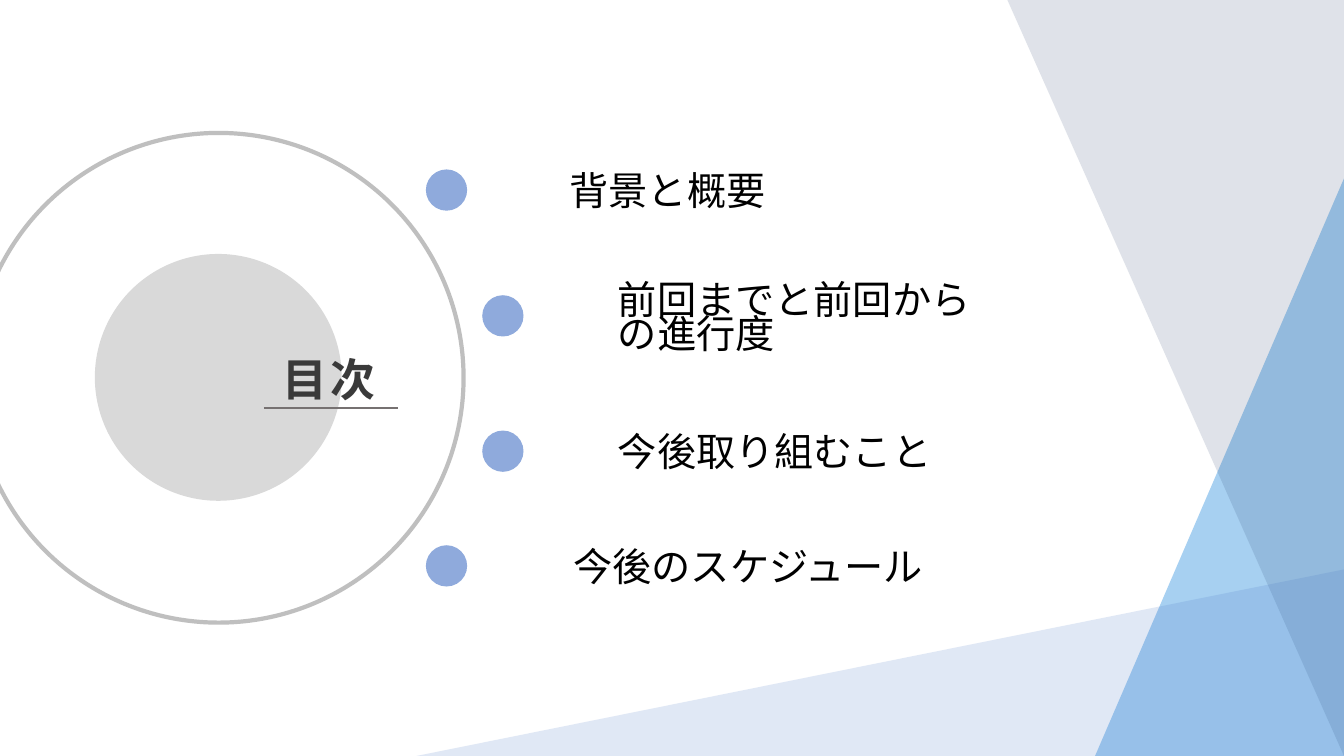
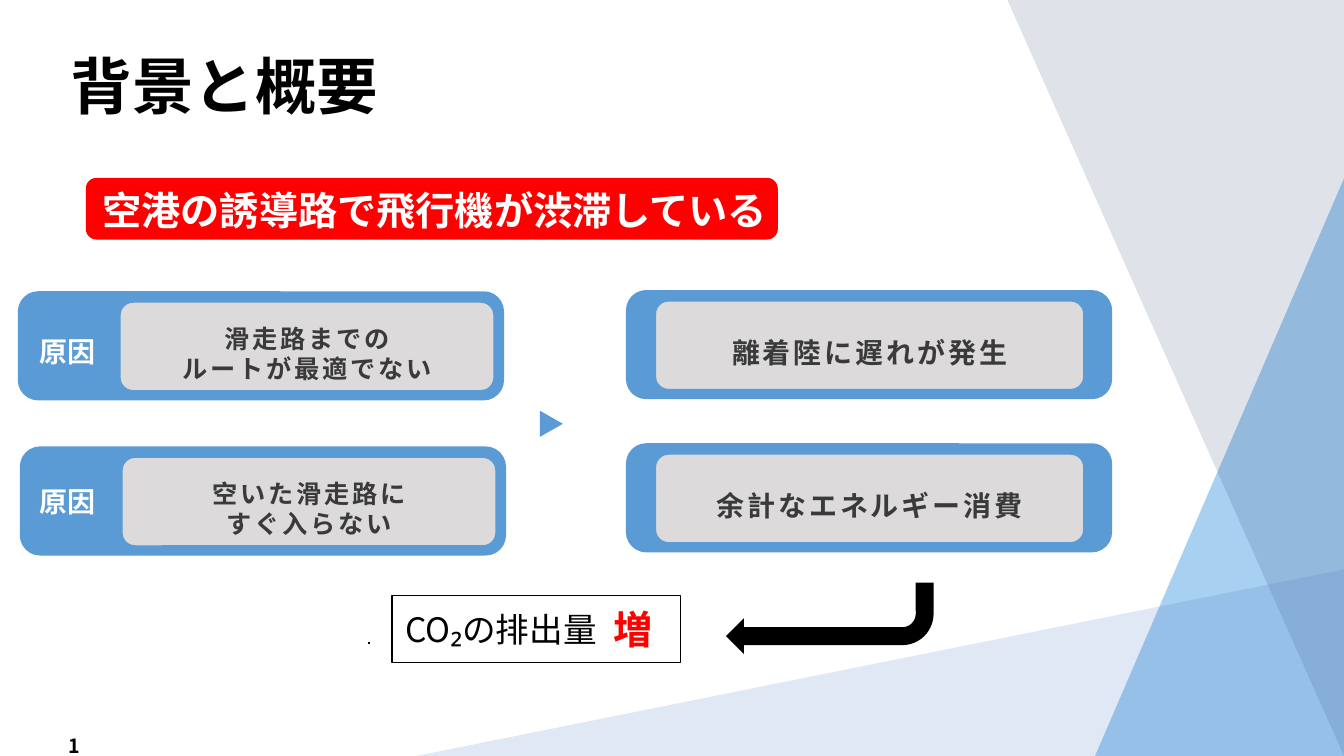
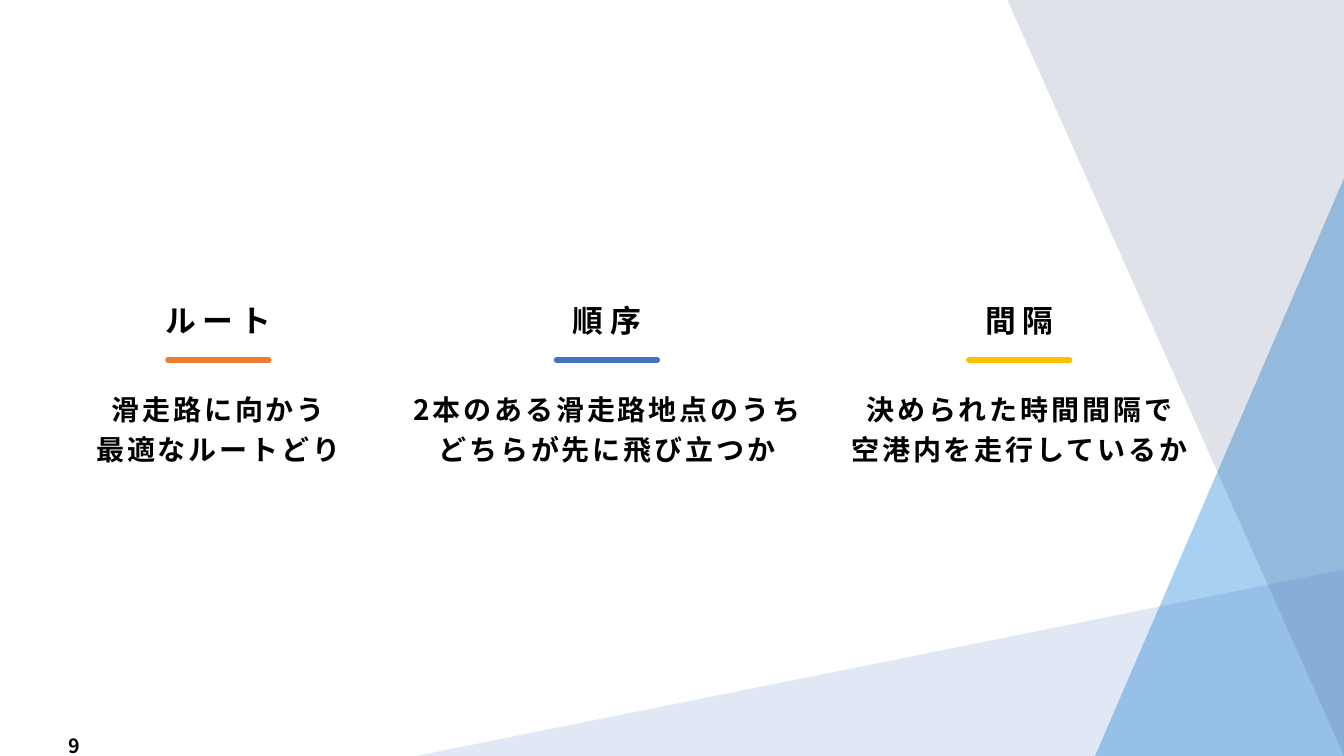
from dataclasses import dataclass
from typing import NamedTuple

import pptx
import pptx.dml.color
import pptx.enum.shapes
import pptx.enum.text
import pptx.oxml
import pptx.oxml.ns
import pptx.util

Cm = pptx.util.Cm
Pt = pptx.util.Pt
Kind = pptx.enum.shapes.MSO_SHAPE
Align = pptx.enum.text.PP_ALIGN
Anchor = pptx.enum.text.MSO_ANCHOR

SLIDE_WIDTH, SLIDE_HEIGHT = 33.86, 19.05
JAPANESE = "Noto Sans CJK JP"
BLACK, WHITE, RED = "000000", "FFFFFF", "FF0000"
PANEL_BLUE, PANEL_GREY, DARK_GREY = "5B9BD5", "DCDADA", "3A3A3A"


class Box(NamedTuple):
    """Place and size in centimetres."""
    left: float
    top: float
    width: float
    height: float

    def lengths(self) -> list:
        return [Cm(value) for value in self]


@dataclass(frozen=True)
class Style:
    size: float
    color: str = BLACK
    bold: bool = False
    tracking: float = 0
    font: str = JAPANESE


@dataclass(frozen=True)
class Facet:
    """One triangle of the corner decoration."""
    box: Box
    color: str
    opacity: int
    rotation: int = 0
    mirrored: bool = False


@dataclass(frozen=True)
class Topic:
    text: str
    dot_left: float
    text_left: float
    top: float
    text_width: float


@dataclass(frozen=True)
class Panel:
    left: float
    top: float
    lines: tuple
    size: float
    inner_offset: float
    inner_width: float
    label_top: float = 0


@dataclass(frozen=True)
class Factor:
    heading: str
    lines: tuple
    center: float
    body_width: float
    color: str


FACETS = [
    Facet(Box(SLIDE_WIDTH - 6.27, SLIDE_HEIGHT - 14.55, 6.27, 14.55), "2A8DDE", 41, mirrored=True),
    Facet(Box(SLIDE_WIDTH - 8.48, 0, 8.48, SLIDE_HEIGHT), "203864", 14, rotation=180),
    Facet(Box(SLIDE_WIDTH - 23.37, SLIDE_HEIGHT - 4.7, 23.37, 4.7), "4472C4", 16, mirrored=True),
]
TOPICS = [
    Topic("背景と概要", 10.73, 14.1, 4.27, 9.37),
    Topic("前回までと前回からの進行度", 12.15, 15.32, 7.44, 10.26),
    Topic("今後取り組むこと", 12.15, 15.32, 10.85, 8.81),
    Topic("今後のスケジュール", 10.73, 14.2, 13.74, 11.07),
]
PANELS = [
    Panel(0.53, 7.42, ("滑走路までの", "ルートが最適でない"), 18, 2.43, 9.55, label_top=8.31),
    Panel(0.58, 11.33, ("空いた滑走路に", "すぐ入らない"), 18, 2.43, 9.55, label_top=12.09),
    Panel(15.85, 7.39, ("離着陸に遅れが発生",), 20, 0.6, 10.92),
    Panel(15.85, 11.25, ("余計なエネルギー消費",), 20, 0.6, 10.92),
]
FACTORS = [
    Factor("ルート", ("滑走路に向かう", "最適なルートどり"), 5.5, 8.31, "ED7D31"),
    Factor("順序", ("2本のある滑走路地点のうち", "どちらが先に飛び立つか"), 15.29, 11.51, "4472C4"),
    Factor("間隔", ("決められた時間間隔で", "空港内を走行しているか"), 25.68, 9.07, "FFC000"),
]


def rgb(value: str) -> pptx.dml.color.RGBColor:
    return pptx.dml.color.RGBColor.from_string(value)


def write(frame, lines: tuple, style: Style, align=Align.LEFT, spacing=None) -> None:
    """Fill a text frame with one paragraph for each line."""
    for index, line in enumerate(lines):
        paragraph = frame.add_paragraph() if index else frame.paragraphs[0]
        paragraph.alignment = align
        if spacing is not None:
            paragraph.line_spacing = spacing
        run = paragraph.add_run()
        run.text = line
        run.font.size = Pt(style.size)
        run.font.bold = style.bold
        run.font.name = style.font
        run.font.color.rgb = rgb(style.color)
        properties = run._r.get_or_add_rPr()
        if style.tracking:
            properties.set("spc", str(int(style.tracking * 100)))
        east_asian = pptx.oxml.parse_xml(
            f'<a:ea {pptx.oxml.ns.nsdecls("a")} typeface="{JAPANESE}"/>')
        properties.find(pptx.oxml.ns.qn("a:latin")).addnext(east_asian)


def add_text(slide, box: Box, lines: tuple, style: Style, align=Align.LEFT,
             spacing=None, wrap: bool = False, anchor=Anchor.TOP) -> None:
    frame = slide.shapes.add_textbox(*box.lengths()).text_frame
    frame.word_wrap = wrap
    frame.vertical_anchor = anchor
    write(frame, lines, style, align, spacing)


def add_figure(slide, kind, box: Box, fill: str = "", line: str = "",
               line_width: float = 1, rotation: int = 0):
    figure = slide.shapes.add_shape(kind, *box.lengths())
    figure.shadow.inherit = False
    figure.rotation = rotation
    if fill:
        figure.fill.solid()
        figure.fill.fore_color.rgb = rgb(fill)
    else:
        figure.fill.background()
    if line:
        figure.line.color.rgb = rgb(line)
        figure.line.width = Pt(line_width)
    else:
        figure.line.fill.background()
    return figure


def write_inside(figure, lines: tuple, style: Style, align=Align.CENTER,
                 left: float = 0, top: float = 0) -> None:
    """Write in a shape, with its left and top insets in centimetres."""
    frame = figure.text_frame
    frame.word_wrap = False
    frame.vertical_anchor = Anchor.MIDDLE
    frame.margin_left, frame.margin_top = Cm(left), Cm(top)
    frame.margin_right = frame.margin_bottom = 0
    write(frame, lines, style, align)


def add_rule(slide, left: float, top: float, width: float, color: str,
             thickness: float, rounded: bool = False) -> None:
    rule = slide.shapes.add_connector(
        pptx.enum.shapes.MSO_CONNECTOR.STRAIGHT, Cm(left), Cm(top), Cm(left + width), Cm(top))
    rule.line.color.rgb = rgb(color)
    rule.line.width = Pt(thickness)
    properties = rule._element.spPr
    if rounded:
        properties.find(pptx.oxml.ns.qn("a:ln")).set("cap", "rnd")
    properties.append(pptx.oxml.parse_xml(f'<a:effectLst {pptx.oxml.ns.nsdecls("a")}/>'))


def add_base_slide(deck, titled: bool = False, number: str = ""):
    """Add a slide with the corner decoration and, if given, a page number."""
    slide = deck.slides.add_slide(deck.slide_layouts[5 if titled else 6])
    for facet in FACETS:
        triangle = add_figure(slide, Kind.RIGHT_TRIANGLE, facet.box, facet.color,
                              rotation=facet.rotation)
        properties = triangle._element.spPr
        if facet.mirrored:
            properties.find(pptx.oxml.ns.qn("a:xfrm")).set("flipH", "1")
        properties.find(".//" + pptx.oxml.ns.qn("a:srgbClr")).append(pptx.oxml.parse_xml(
            f'<a:alpha {pptx.oxml.ns.nsdecls("a")} val="{facet.opacity * 1000}"/>'))
    if number:
        add_text(slide, Box(1.47, 18.36, 0.79, 0.86), (number,), Style(14, bold=True))
    return slide


def add_panel(slide, panel: Panel) -> None:
    add_figure(slide, Kind.ROUNDED_RECTANGLE, Box(panel.left, panel.top, 12.09, 2.59),
               PANEL_BLUE, PANEL_BLUE, 4.5)
    inner = add_figure(
        slide, Kind.ROUNDED_RECTANGLE,
        Box(panel.left + panel.inner_offset, panel.top + 0.13, panel.inner_width, 2.36),
        PANEL_GREY, PANEL_BLUE, 4.5)
    write_inside(inner, panel.lines, Style(panel.size, DARK_GREY, True, 2), top=0.36)
    if panel.label_top:
        add_text(slide, Box(0.74, panel.label_top, 1.93, 1.12), ("原因",),
                 Style(20, WHITE, True, font="Lato"), Align.CENTER)


def build_contents(deck) -> None:
    slide = add_base_slide(deck)
    add_figure(slide, Kind.OVAL, Box(2.39, 6.4, 6.22, 6.22), "D9D9D9")
    add_figure(slide, Kind.OVAL, Box(-0.66, 3.35, 12.34, 12.34), line="BFBFBF", line_width=3)
    for topic in TOPICS:
        add_figure(slide, Kind.OVAL, Box(topic.dot_left, topic.top, 1.04, 1.04), "8FAADC")
        add_text(slide, Box(topic.text_left, topic.top, topic.text_width, 1.37),
                 (topic.text,), Style(28), spacing=Pt(24), anchor=Anchor.MIDDLE)
    add_text(slide, Box(6.88, 9.25, 2.95, 1.24), ("目次",),
             Style(32, DARK_GREY, True, 2, "Quicksand"), spacing=Pt(24))
    add_rule(slide, 6.65, 10.29, 3.38, "767171", 1.5)


def build_background(deck) -> None:
    slide = add_base_slide(deck, titled=True, number="1")
    title = slide.shapes.title
    title.left, title.top, title.width, title.height = Box(1.52, 0.41, 29.21, 3.68).lengths()
    title.text_frame.auto_size = pptx.enum.text.MSO_AUTO_SIZE.NONE
    title.text_frame.vertical_anchor = Anchor.MIDDLE
    write(title.text_frame, ("背景と概要",), Style(44, bold=True), spacing=0.9)

    banner = add_figure(slide, Kind.ROUNDED_RECTANGLE, Box(2.18, 4.5, 17.4, 1.52), RED, RED)
    write_inside(banner, ("空港の誘導路で飛行機が渋滞している",), Style(28, WHITE, True),
                 Align.LEFT, left=0.33, top=0.08)
    for panel in PANELS:
        add_panel(slide, panel)
    add_figure(slide, Kind.ISOSCELES_TRIANGLE, Box(13.56, 10.39, 0.66, 0.58),
               PANEL_BLUE, rotation=90)
    add_figure(slide, Kind.BENT_ARROW, Box(18.29, 14.68, 5.23, 1.8), BLACK, rotation=180)

    emissions = add_figure(slide, Kind.LINE_CALLOUT_1, Box(9.88, 15.01, 7.26, 1.68), line=BLACK)
    for index, value in enumerate((0.72, -0.08, 0.7, -0.08)):
        emissions.adjustments[index] = value
    write_inside(emissions, ("CO₂の排出量",), Style(24), Align.LEFT, left=0.33)
    add_text(slide, Box(15.21, 15.14, 1.5, 1.45), ("増",), Style(28, RED, True))


def build_factors(deck) -> None:
    slide = add_base_slide(deck, number="9")
    for factor in FACTORS:
        add_text(slide, Box(factor.center - 1.7, 7.47, 3.4, 1.19), (factor.heading,),
                 Style(22, BLACK, True, 5, "Quicksand"), Align.CENTER, wrap=True)
        add_rule(slide, factor.center - 1.27, 9.07, 2.54, factor.color, 4, rounded=True)
        add_text(slide, Box(factor.center - factor.body_width / 2, 9.6, factor.body_width, 2.26),
                 factor.lines, Style(20, BLACK, True, 2), Align.CENTER, 1.2, wrap=True)


def main() -> None:
    deck = pptx.Presentation()
    deck.slide_width, deck.slide_height = Cm(SLIDE_WIDTH), Cm(SLIDE_HEIGHT)
    build_contents(deck)
    build_background(deck)
    build_factors(deck)
    deck.save("out.pptx")


if __name__ == "__main__":
    main()
